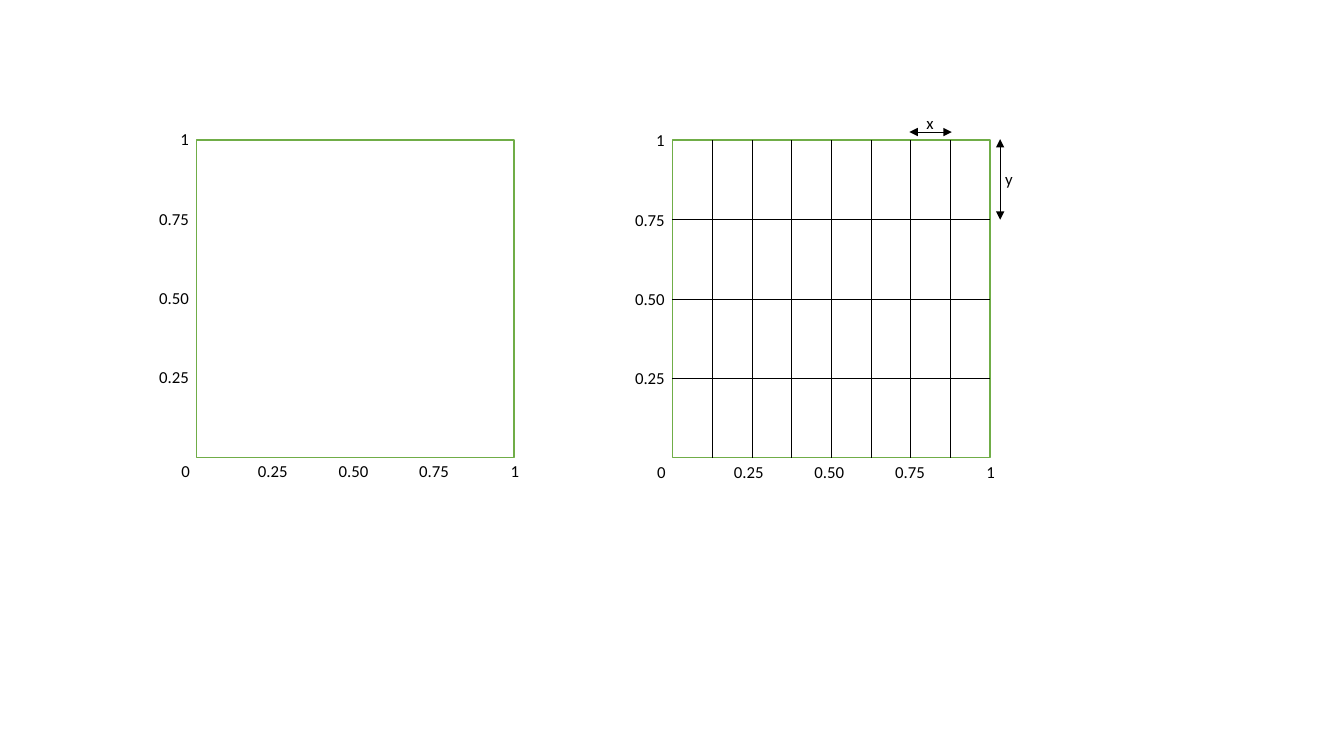
from lxml import etree
from pptx import Presentation
from pptx.dml.color import RGBColor
from pptx.enum import shapes, text
from pptx.oxml import ns
from pptx.util import Inches, Pt

COLORS = {"square": "70AD47", "ink": "000000", "paper": "FFFFFF"}
SIDE, TOP = 3.15, 1.39
ROWS, COLUMNS = 4, 8
LABEL_HEIGHT = 0.3

prs = Presentation()
prs.slide_width, prs.slide_height = Inches(13.33), Inches(7.5)
s = prs.slides.add_slide(prs.slide_layouts[6])


def add_label(words, left, top, width, wrap=False):
    tf = s.shapes.add_textbox(Inches(left), Inches(top), Inches(width), Inches(LABEL_HEIGHT)).text_frame
    tf.word_wrap = wrap
    tf.auto_size = text.MSO_AUTO_SIZE.SHAPE_TO_FIT_TEXT
    p = tf.paragraphs[0]
    p.text = words
    p.font.size = Pt(12)
    p.font.name = "Calibri"
    p.font.color.rgb = RGBColor.from_string(COLORS["ink"])


def add_line(x1, y1, x2, y2, arrows=False):
    line = s.shapes.add_connector(shapes.MSO_CONNECTOR.STRAIGHT, Inches(x1), Inches(y1), Inches(x2), Inches(y2))
    line.line.width = Pt(0.5)
    line.line.color.rgb = RGBColor.from_string(COLORS["ink"])
    if arrows:
        for end in ("a:headEnd", "a:tailEnd"):
            etree.SubElement(line.line._get_or_add_ln(), ns.qn(end), type="triangle")
    etree.SubElement(line._element.spPr, ns.qn("a:effectLst"))


for square_left, label_shift in ((1.95, 0), (6.67, 0.01)):
    square = s.shapes.add_shape(
        shapes.MSO_SHAPE.RECTANGLE, Inches(square_left), Inches(TOP), Inches(SIDE), Inches(SIDE))
    square.shadow.inherit = False
    square.fill.solid()
    square.fill.fore_color.rgb = RGBColor.from_string(COLORS["paper"])
    square.line.color.rgb = RGBColor.from_string(COLORS["square"])
    square.line.width = Pt(1)

    bottom_top = TOP + SIDE - 0.02 + label_shift
    add_label("0", square_left - 0.25, bottom_top, 0.29)
    for tick, words in enumerate(("0.25", "0.50", "0.75", "1"), start=1):
        width = 0.29 if words == "1" else 0.5
        row_top = TOP + SIDE * (1 - tick / 4) - 0.16 + label_shift
        add_label(words, square_left + 0.03 - width, row_top, width)
        center = square_left - 0.04 + 0.8 * tick
        add_label(words, center - width / 2, bottom_top, width)

grid_left = 6.67
for column in range(1, COLUMNS):
    x = grid_left + SIDE * column / COLUMNS
    add_line(x, TOP, x, TOP + SIDE)
for row in range(1, ROWS):
    y = TOP + SIDE * row / ROWS
    add_line(grid_left, y, grid_left + SIDE, y)

add_line(9.02, 1.31, 9.44, 1.31, arrows=True)
add_label("x", 9.09, 1.07, 0.38, wrap=True)
add_line(9.92, 1.38, 9.92, 2.18, arrows=True)
add_label("y", 9.87, 1.62, 0.28)

prs.save("out.pptx")
